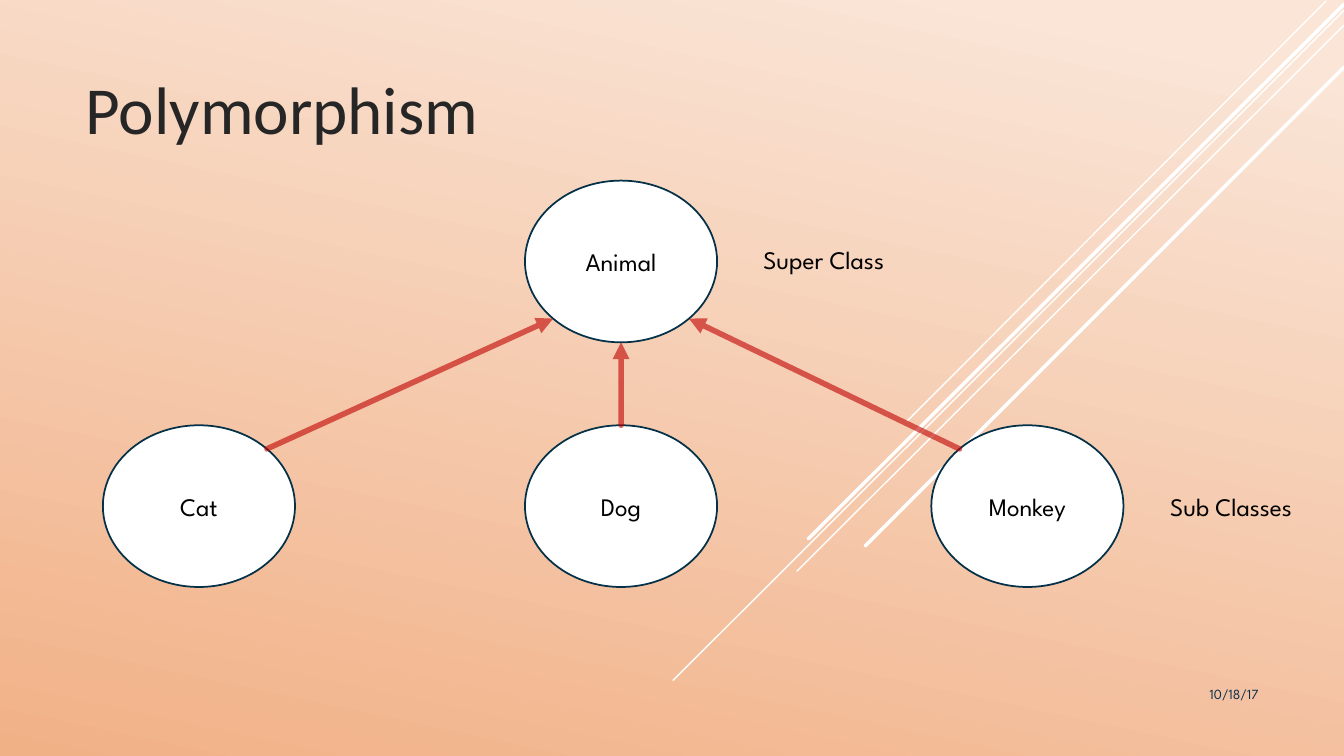
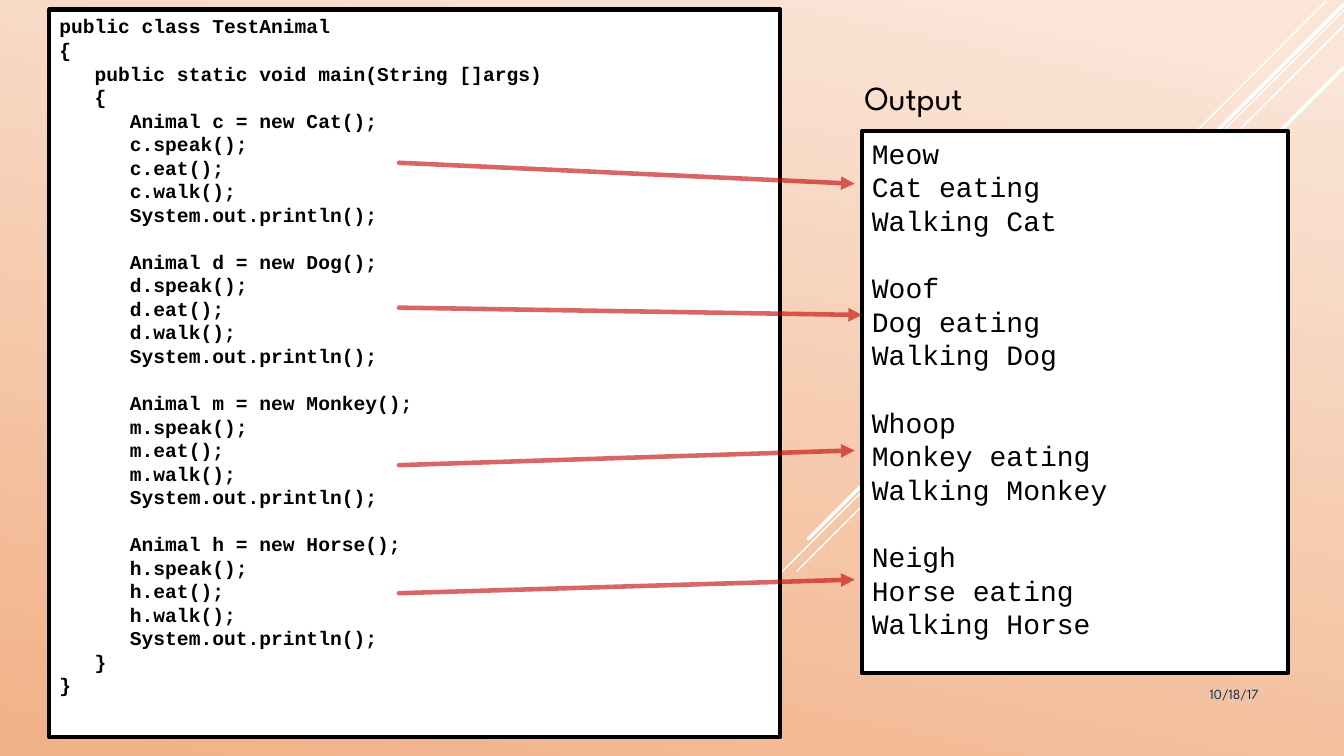
"""Build two slides on polymorphism: a class diagram, and a program with its output."""
from math import cos, radians, sin

from pptx import Presentation
from pptx.dml.color import RGBColor
from pptx.enum.shapes import MSO_CONNECTOR, MSO_SHAPE
from pptx.enum.text import MSO_ANCHOR, PP_ALIGN
from pptx.oxml.ns import qn
from pptx.util import Emu, Pt
from lxml import etree

PX = 9525
WIDTH, HEIGHT = 1280, 720
OVAL, RECT = MSO_SHAPE.OVAL, MSO_SHAPE.RECTANGLE
STRAIGHT = MSO_CONNECTOR.STRAIGHT
LEFT, CENTER, RIGHT = PP_ALIGN.LEFT, PP_ALIGN.CENTER, PP_ALIGN.RIGHT
TOP, MIDDLE, BOTTOM = MSO_ANCHOR.TOP, MSO_ANCHOR.MIDDLE, MSO_ANCHOR.BOTTOM

COLORS = {
    "light": "FAE5D7",
    "deep": "F1B187",
    "white": "FFFFFF",
    "black": "000000",
    "title": "262626",
    "outline": "043148",
    "date": "0A304A",
    "arrow": "C00000",
}
FORMATS = {
    "title": {"name": "Calibri", "size": Pt(48)},
    "label": {"name": "League Spartan", "size": Pt(18)},
    "heading": {"name": "League Spartan", "size": Pt(24)},
    "date": {"name": "League Spartan", "size": Pt(10)},
    "code": {"name": "Courier New", "size": Pt(14), "bold": True},
    "output": {"name": "Courier New", "size": Pt(20)},
}
RAYS = [
    (1263, 1, 864, 401, 1),
    (1280, 10, 641, 648, 1),
    (1280, 24, 759, 544, 1),
    (1280, 4, 770, 513, 2.5),
    (1280, 64, 824, 520, 2.5),
]
OVAL_W, OVAL_H = 183, 154
ANIMALS = [
    ("c", "Cat", "Meow"),
    ("d", "Dog", "Woof"),
    ("m", "Monkey", "Whoop"),
    ("h", "Horse", "Neigh"),
]


def emu(*lengths):
    return [Emu(round(n * PX)) for n in lengths]


def rgb(key):
    return RGBColor.from_string(COLORS[key])


def write(sp, lines, fmt, color="black", align=LEFT, anchor=TOP, wrap=True, pitch=None):
    tf = sp.text_frame
    tf.word_wrap = wrap
    tf.vertical_anchor = anchor
    p, gap = tf.paragraphs[0], False
    for i, line in enumerate(lines):
        if not line:
            gap = True
            continue
        if i:
            p = tf.add_paragraph()
        p.alignment = align
        if pitch:
            p.line_spacing = Pt(pitch)
            if gap:
                p.space_before = Pt(pitch)
        gap = False
        r = p.add_run()
        r.text = line
        for key, value in FORMATS[fmt].items():
            setattr(r.font, key, value)
        r.font.color.rgb = rgb(color)


def add_text(s, box, text, fmt, **options):
    write(s.shapes.add_textbox(*emu(*box)), [text], fmt, **options)


def add_box(s, kind, box, lines, fmt, outline, width, **options):
    sp = s.shapes.add_shape(kind, *emu(*box))
    sp.shadow.inherit = False
    sp.fill.solid()
    sp.fill.fore_color.rgb = rgb("white")
    sp.line.color.rgb = rgb(outline)
    sp.line.width = Pt(width)
    write(sp, lines, fmt, **options)


def add_line(s, ends, color, width):
    sp = s.shapes.add_connector(STRAIGHT, *emu(*ends))
    sp.line.color.rgb = rgb(color)
    sp.line.width = Pt(width)
    ln = sp.line._ln
    ln.set("cap", "rnd")
    etree.SubElement(sp._element.spPr, qn("a:effectLst"))
    return ln


def add_arrow(s, ends, width):
    ln = add_line(s, ends, "arrow", width)
    clr = ln.find(".//" + qn("a:srgbClr"))
    etree.SubElement(clr, qn("a:alpha"), val="60000")
    etree.SubElement(ln, qn("a:tailEnd"), type="triangle")


def add_slide(prs):
    s = prs.slides.add_slide(prs.slide_layouts[6])
    fill = s.background.fill
    fill.gradient()
    fill.gradient_angle = 258
    for stop, position, color in zip(fill.gradient_stops, (0.07, 1), ("light", "deep")):
        stop.position = position
        stop.color.rgb = rgb(color)
    for *ends, width in RAYS:
        add_line(s, ends, "white", width)
    add_text(s, (1040, 648, 168, 38), "10/18/17", "date", color="date", align=RIGHT)
    return s


def rim(corner, angle):
    x, y = corner
    a = radians(angle)
    return x + OVAL_W / 2 * (1 + cos(a)), y + OVAL_H / 2 * (1 + sin(a))


def class_slide(prs):
    s = add_slide(prs)
    add_text(s, (72, 47, 840, 99), "Polymorphism", "title", color="title", anchor=BOTTOM)
    parent, row = (500, 172), 405
    children = [("Cat", 98, -45, 135), ("Dog", 500, -90, 90), ("Monkey", 887, -135, 45)]
    for name, x, y in [("Animal", *parent)] + [(c[0], c[1], row) for c in children]:
        add_box(s, OVAL, (x, y, OVAL_W, OVAL_H), [name], "label", "outline", 1.25,
                align=CENTER, anchor=MIDDLE)
    for _, x, start, end in children:
        add_arrow(s, rim((x, row), start) + rim(parent, end), 4)
    for text, box in [("Super Class", (708, 228, 153, 38)),
                      ("Sub Classes", (1095, 463, 155, 38))]:
        add_text(s, box, text, "label", align=CENTER, wrap=False)


def code_lines():
    lines = ["public class TestAnimal", "{",
             "   public static void main(String []args)", "   {"]
    for i, (var, name, _) in enumerate(ANIMALS):
        body = [f"Animal {var} = new {name}();"]
        body += [f"{var}.{call}();" for call in ("speak", "eat", "walk")]
        body.append("System.out.println();")
        lines += [""] * (i > 0) + ["      " + line for line in body]
    return lines + ["   }", "}"]


def output_lines():
    lines = []
    for _, name, sound in ANIMALS:
        lines += [sound, f"{name} eating", f"Walking {name}", ""]
    return lines


def program_slide(prs):
    s = add_slide(prs)
    add_box(s, RECT, (47, 9, 696, 693), code_lines(), "code", "black", 3, pitch=16.8)
    add_box(s, RECT, (821, 125, 406, 516), output_lines(), "output", "black", 3, pitch=24)
    add_text(s, (814, 69, 131, 48), "Output", "heading", wrap=False)
    for y1, x2, y2 in [(155, 814, 175), (293, 821, 300), (443, 814, 429), (565, 814, 552)]:
        add_arrow(s, (380, y1, x2, y2), 3.25)


def main():
    prs = Presentation()
    prs.slide_width, prs.slide_height = emu(WIDTH, HEIGHT)
    class_slide(prs)
    program_slide(prs)
    prs.save("out.pptx")


if __name__ == "__main__":
    main()
